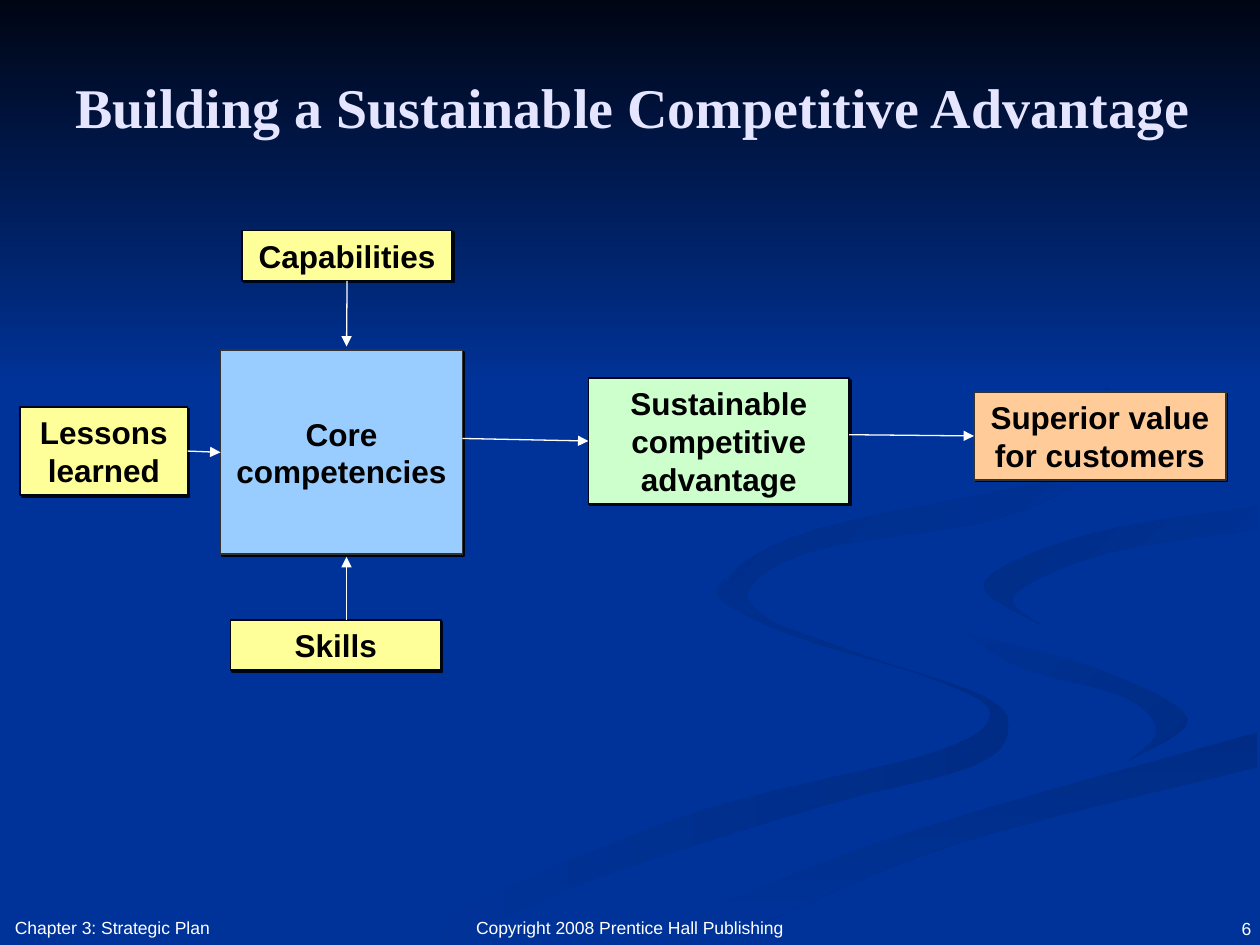
"""Build a slide showing how core competencies lead to a sustainable competitive advantage."""
from dataclasses import dataclass

from lxml import etree
from pptx import Presentation
from pptx import util as u
from pptx.dml.color import RGBColor
from pptx.enum import shapes, text
from pptx.oxml import ns


@dataclass(frozen=True)
class Theme:
    background: str = "003399"
    night: str = "000514"
    shade: str = "002C85"
    title: str = "E5E5FF"
    white: str = "FFFFFF"
    black: str = "000000"
    outline: str = "333333"
    yellow: str = "FFFF99"
    blue: str = "99CCFF"
    green: str = "CCFFCC"
    orange: str = "FFCC99"
    heading_font: str = "Times New Roman"
    body_font: str = "Arial"
    title_size: int = 32
    box_size: int = 18
    footer_size: int = 10


THEME = Theme()


def write_text(shape, wording, size, color, font=THEME.body_font, bold=False,
               align=text.PP_ALIGN.LEFT, anchor=text.MSO_ANCHOR.MIDDLE, wrap=True):
    frame = shape.text_frame
    frame.text = wording
    frame.word_wrap = wrap
    frame.vertical_anchor = anchor
    paragraph = frame.paragraphs[0]
    paragraph.alignment = align
    run_font = paragraph.runs[0].font
    run_font.name, run_font.size, run_font.bold = font, u.Pt(size), bold
    run_font.color.rgb = RGBColor.from_string(color)


def paint(shape, start, end=None, angle=0):
    shape.shadow.inherit = False
    shape.line.fill.background()
    if end is None:
        shape.fill.solid()
        shape.fill.fore_color.rgb = RGBColor.from_string(start)
        return
    shape.fill.gradient()
    shape.fill.gradient_angle = (360 - angle) % 360
    for stop, color in zip(shape.fill.gradient_stops, (start, end)):
        stop.color.rgb = RGBColor.from_string(color)


presentation = Presentation()
presentation.slide_width, presentation.slide_height = u.Inches(10), u.Inches(7.5)
slide = presentation.slides.add_slide(presentation.slide_layouts[6])
slide.background.fill.solid()
slide.background.fill.fore_color.rgb = RGBColor.from_string(THEME.background)

bend_edge = [(7.24, 4.64), (7.58, 4.98), (8.7, 5.3), (9.43, 5.7), (8.94, 6.05)]
bank_edge = [(5.03, 7.49), (6.3, 6.93), (7.64, 6.47), (9.98, 5.81)]
brook_edge = [(8.26, 4.96), (7.81, 4.62), (8.65, 4.24), (9.98, 4.02)]
ribbons = [
    (THEME.background, THEME.shade, 0, [
        [(5.75, 4.59), (5.72, 4.76), (6.31, 5.05), (7.41, 5.39), (7.86, 5.66),
         (7.39, 5.98), (5.39, 6.49), (3, 7.49)],
        [(3.61, 7.49), (4.66, 7), (6.51, 6.4), (7.69, 6.09), (8, 5.81),
         (7.81, 5.53), (6.82, 5.19), (5.94, 4.85), (5.75, 4.59)]]),
    (THEME.background, THEME.shade, 45, [
        bend_edge,
        [(8.94, 6.05), (9.18, 5.81), (8.92, 5.53), (7.97, 5.24), (7.24, 4.64)]]),
    (THEME.shade, THEME.background, 90, [
        bank_edge, [(9.98, 6.09), (7.52, 6.72), (5.71, 7.49)]]),
    (THEME.background, None, 0, [
        bend_edge, [(8.94, 6.05), (7.04, 6.55), (4.77, 7.49)], bank_edge,
        [(9.98, 5.38), (8.26, 4.96)], brook_edge,
        [(9.98, 3.87), (8.08, 4.17), (7.24, 4.64)]]),
    (THEME.shade, THEME.background, 45, [
        brook_edge, [(9.98, 4.2), (8.78, 4.39), (8.05, 4.72), (8.26, 4.96)]]),
    (THEME.shade, THEME.background, 45, [
        [(7.62, 2.33), (8.46, 2.79), (8.89, 3.35), (8.42, 3.78), (6.49, 4.2),
         (5.77, 4.62), (6.22, 5)],
        [(6.22, 5), (5.93, 4.7), (6.49, 4.36), (8.07, 4.07), (8.94, 3.44),
         (8.43, 2.75), (7.62, 2.33)]]),
]
steps = 6
for start, end, angle, edges in ribbons:
    outline = []
    for edge in edges:
        padded = [edge[0], *edge, edge[-1]]
        for before, first, second, after in zip(padded, padded[1:], padded[2:], padded[3:]):
            for step in range(steps):
                t = step / steps
                outline.append([
                    u.Inches(b + t * (c - a + t * (2 * a - 5 * b + 4 * c - d
                                                   + t * (3 * b - a - 3 * c + d))) / 2)
                    for a, b, c, d in zip(before, first, second, after)])
        outline.append([u.Inches(value) for value in edge[-1]])
    builder = slide.shapes.build_freeform(*outline[0])
    builder.add_line_segments(outline[1:], close=True)
    paint(builder.convert_to_shape(), start, end, angle)

sky = slide.shapes.add_shape(shapes.MSO_SHAPE.RECTANGLE, 0, 0, u.Inches(10), u.Inches(3.08))
paint(sky, THEME.night, THEME.background, 90)

title = slide.shapes.add_textbox(u.Inches(0.5), u.Inches(0.33), u.Inches(9.17), u.Inches(1.03))
write_text(title, "Building a Sustainable Competitive Advantage", THEME.title_size,
           THEME.title, THEME.heading_font, bold=True)

for wording, place, align, anchor, wrap in [
    ("Copyright 2008 Prentice Hall Publishing", (3.68, 7.23, 2.64, 0.27),
     text.PP_ALIGN.LEFT, text.MSO_ANCHOR.TOP, False),
    ("6", (7.7, 6.98, 2.33, 0.52), text.PP_ALIGN.RIGHT, text.MSO_ANCHOR.BOTTOM, True),
    ("Chapter 3: Strategic Plan", (0.02, 6.97, 3.17, 0.52),
     text.PP_ALIGN.LEFT, text.MSO_ANCHOR.BOTTOM, True),
]:
    footer = slide.shapes.add_textbox(*map(u.Inches, place))
    write_text(footer, wording, THEME.footer_size, THEME.white,
               align=align, anchor=anchor, wrap=wrap)

boxes = {}
for wording, place, fill, line in [
    ("Superior value for customers", (7.73, 3.11, 2, 0.7), THEME.orange, THEME.outline),
    ("Sustainable competitive advantage", (4.67, 3, 2.07, 1), THEME.green, THEME.night),
    ("Capabilities", (1.92, 1.83, 1.67, 0.4), THEME.yellow, THEME.night),
    ("Core competencies", (1.75, 2.78, 1.92, 1.62), THEME.blue, THEME.outline),
    ("Skills", (1.83, 4.92, 1.67, 0.4), THEME.yellow, THEME.night),
    ("Lessons learned", (0.16, 3.23, 1.33, 0.7), THEME.yellow, THEME.night),
]:
    box = slide.shapes.add_shape(shapes.MSO_SHAPE.RECTANGLE, *map(u.Inches, place))
    paint(box, fill)
    box.line.color.rgb = RGBColor.from_string(line)
    box.line.width = u.Pt(1)
    effects = box._element.spPr.find(ns.qn("a:effectLst"))
    shadow = etree.SubElement(effects, ns.qn("a:outerShdw"), dist=str(int(u.Pt(1.4))),
                              dir="2700000", algn="ctr", rotWithShape="0")
    etree.SubElement(shadow, ns.qn("a:srgbClr"), val=THEME.night)
    write_text(box, wording, THEME.box_size, THEME.black, bold=True, align=text.PP_ALIGN.CENTER)
    boxes[wording] = box

for ends, source, target in [
    ((6.74, 3.45, 7.73, 3.45), None, ("Superior value for customers", 1)),
    ((3.67, 3.48, 4.67, 3.5), None, ("Sustainable competitive advantage", 1)),
    ((2.75, 2.23, 2.75, 2.75), ("Capabilities", 2), None),
    ((1.49, 3.58, 1.75, 3.58), ("Lessons learned", 3), ("Core competencies", 1)),
    ((2.75, 4.92, 2.75, 4.42), None, None),
]:
    arrow = slide.shapes.add_connector(shapes.MSO_CONNECTOR.STRAIGHT, *map(u.Inches, ends))
    if source:
        arrow.begin_connect(boxes[source[0]], source[1])
    if target:
        arrow.end_connect(boxes[target[0]], target[1])
    arrow.line.color.rgb = RGBColor.from_string(THEME.white)
    arrow.line.width = u.Pt(0.75)
    etree.SubElement(arrow.line._get_or_add_ln(), ns.qn("a:tailEnd"), type="triangle")
    etree.SubElement(arrow._element.spPr, ns.qn("a:effectLst"))

presentation.save("out.pptx")
